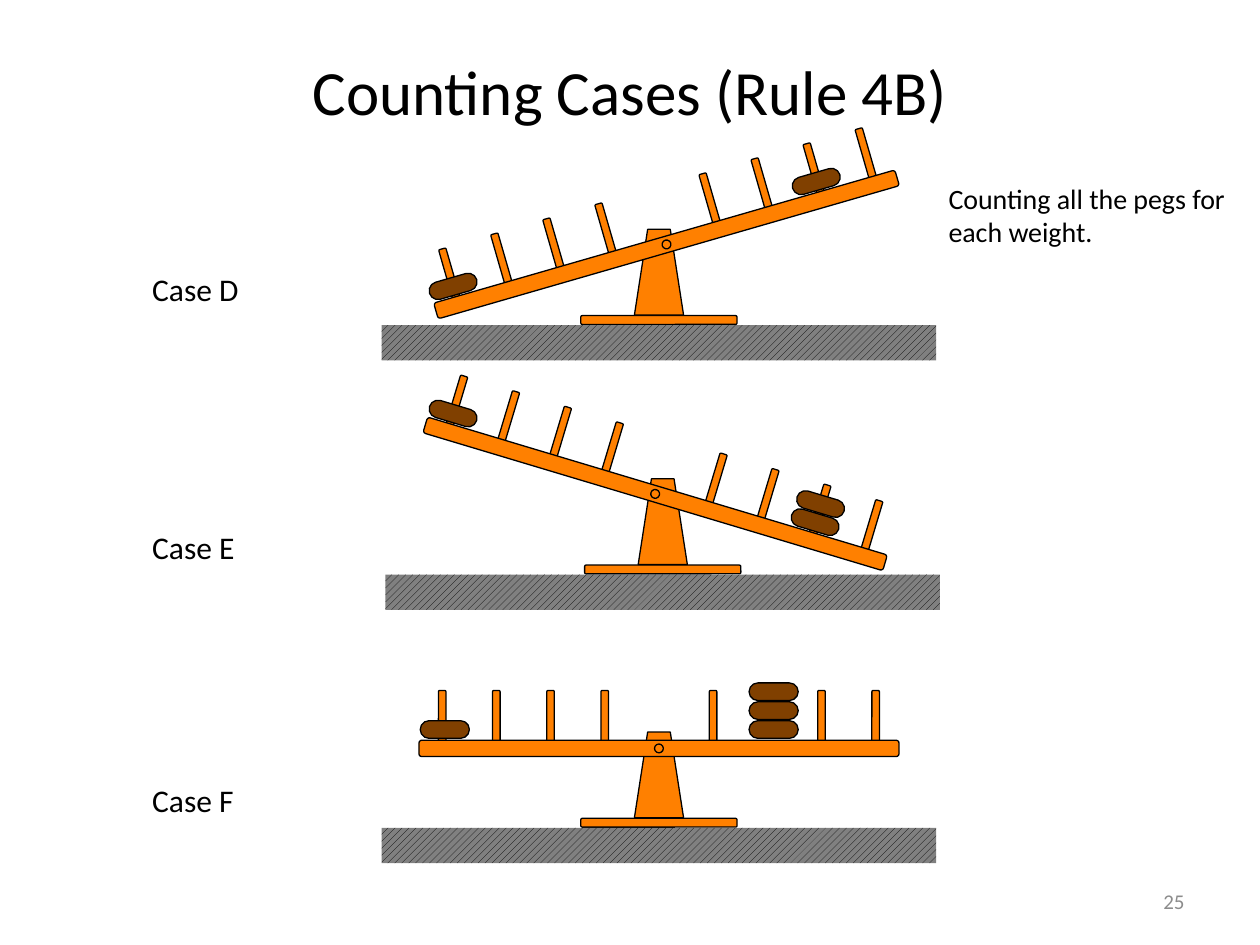
"""Build a slide of three balance beams with weights on their pegs."""
import math
import pptx
import pptx.util
import pptx.dml.color
import pptx.enum.dml
import pptx.enum.shapes
import pptx.enum.text

Inches = pptx.util.Inches
Shape = pptx.enum.shapes.MSO_SHAPE
Align = pptx.enum.text.PP_ALIGN
Anchor = pptx.enum.text.MSO_ANCHOR
hue = pptx.dml.color.RGBColor.from_string


def draw(home, kind, mid, size, fill, turn=0, adj=None):
    x, y = mid
    w, h = size
    part = home.add_shape(kind, Inches(x - w / 2), Inches(y - h / 2), Inches(w), Inches(h))
    part.shadow.inherit = False
    part.rotation = turn
    if adj is not None:
        part.adjustments[0] = adj
    part.fill.solid()
    part.fill.fore_color.rgb = hue(fill)
    part.line.color.rgb = hue("000000")
    part.line.width = pptx.util.Pt(0.75)
    return part


def write(box, place, text, size, color="000000", align=Align.LEFT, anchor=Anchor.TOP, wrap=True):
    box.left, box.top, box.width, box.height = [Inches(n) for n in place]
    frame = box.text_frame
    frame.word_wrap = wrap
    frame.vertical_anchor = anchor
    line = frame.paragraphs[0]
    line.alignment = align
    run = line.add_run()
    run.text = text
    run.font.name = "Calibri"
    run.font.size = pptx.util.Pt(size)
    run.font.color.rgb = hue(color)


deck = pptx.Presentation()
deck.slide_width, deck.slide_height = Inches(10), Inches(7.5)
slide = deck.slides.add_slide(deck.slide_layouts[5])
shapes = slide.shapes

write(shapes.title, (0.5, 0.3, 9, 0.83), "Counting Cases (Rule 4B)", 36,
      align=Align.CENTER, anchor=Anchor.MIDDLE)

orange, brown = "FF8000", "804000"
pitch = 0.43
left = [-4, -3, -2, -1]

cases = [
    ("Case D", 2.09, 0.89, 5.23, 2.58, (5.29, 1.94), -16.1,
     left + [1, 2, 3, 4], [(-1.72, 0), (1.28, 0)]),
    ("Case E", 4.14, 0.86, 5.26, 4.56, (5.2, 3.92), 16.7,
     left + [1, 2, 3, 4], [(-1.72, 0), (1.28, 0), (1.28, 1)]),
    ("Case F", 6.15, 0.85, 5.23, 6.57, (5.23, 5.94), 0,
     left + [1, 3, 4], [(-1.7, 0), (0.91, 0), (0.91, 1), (0.91, 2)]),
]

for name, top, wide, stand, floor, hub, turn, steps, discs in cases:
    label = shapes.add_textbox(0, 0, 0, 0)
    write(label, (1.11, top, wide, 0.4), name, 18, wrap=False)

    draw(shapes, Shape.ROUNDED_RECTANGLE, (stand, floor - 0.04), (1.24, 0.07), orange, adj=0.17)
    draw(shapes, Shape.TRAPEZOID, (stand, floor - 0.42), (0.39, 0.68), orange, adj=0.27)
    ground = draw(shapes, Shape.RECTANGLE, (stand, floor + 0.14), (4.4, 0.28), "808080")
    ground.fill.patterned()
    ground.fill.pattern = pptx.enum.dml.MSO_PATTERN.WIDE_UPWARD_DIAGONAL
    ground.fill.fore_color.rgb = hue("000000")
    ground.fill.back_color.rgb = hue("808080")
    ground.line.fill.background()

    pegs = [(step * pitch, -0.25, 0.06, 0.42, orange, 0.17) for step in steps]
    beam = [(0, 0, 3.81, 0.13, orange, 0.17)]
    loads = [(along, -0.15 - 0.15 * level, 0.39, 0.14, brown, 0.5) for along, level in discs]
    group = shapes.add_group_shape()
    cos, sin = math.cos(math.radians(turn)), math.sin(math.radians(turn))
    for u, v, w, h, fill, adj in pegs + beam + loads:
        mid = (hub[0] + u * cos - v * sin, hub[1] + u * sin + v * cos)
        draw(group.shapes, Shape.ROUNDED_RECTANGLE, mid, (w, h), fill, turn, adj)
    draw(group.shapes, Shape.OVAL, hub, (0.07, 0.07), orange, turn)

note = shapes.add_textbox(0, 0, 0, 0)
write(note, (7.43, 1.39, 2.57, 0.64), "Counting all the pegs for each weight.", 16)
page = shapes.add_textbox(0, 0, 0, 0)
write(page, (7.17, 6.95, 2.33, 0.4), "25", 12, "8C8C8C", Align.RIGHT, Anchor.MIDDLE)

deck.save("out.pptx")
